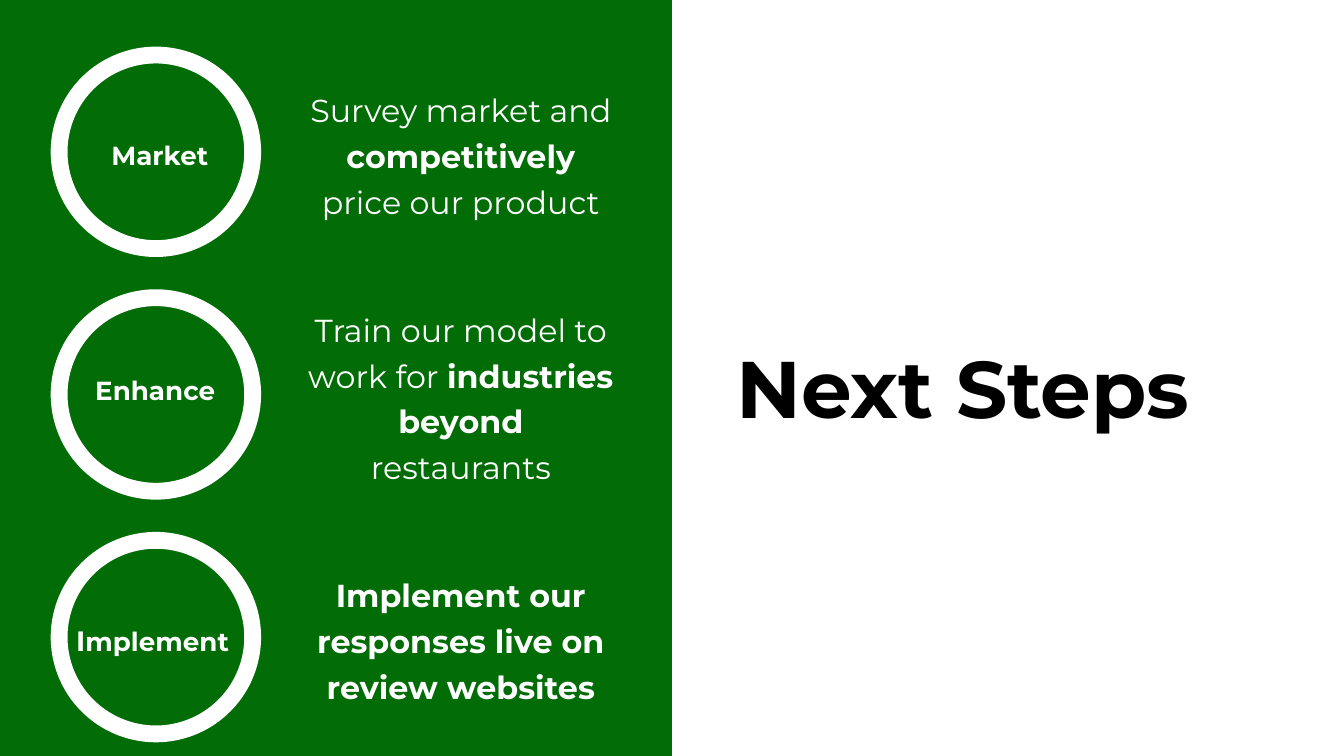
from dataclasses import dataclass

from pptx import Presentation
from pptx.dml.color import RGBColor
from pptx.enum.shapes import MSO_SHAPE
from pptx.enum.text import MSO_ANCHOR, MSO_AUTO_SIZE, PP_ALIGN
from pptx.util import Pt


@dataclass(frozen=True)
class Theme:
    font: str = "Montserrat"
    green: RGBColor = RGBColor(0x02, 0x6C, 0x06)
    white: RGBColor = RGBColor(0xFF, 0xFF, 0xFF)
    black: RGBColor = RGBColor(0, 0, 0)
    title_size: int = 43
    action_size: int = 17
    label_size: int = 14
    initial_size: int = 15


THEME = Theme()
SLIDE_WIDTH, SLIDE_HEIGHT = 720, 405
RING_LEFT, RING_TOP, RING_SIZE, RING_PITCH = 31.7, 29.5, 103.7, 130
ACTION_LEFT, ACTION_WIDTH = 156.2, 181.4
LABEL_HEIGHT = 37.4

STEPS = [
    {
        "label": [("Market", True)],
        "label_box": (33.8, 62.6, 103.7, LABEL_HEIGHT),
        "action": [("Survey market and ", False), ("competitively ", True),
                   ("price our product", False)],
        "action_box": (ACTION_LEFT, 18.7, ACTION_WIDTH, 125.3),
    },
    {
        "label": [("Enhance", True)],
        "label_box": (22.3, 188.6, 121.7, LABEL_HEIGHT),
        "action": [("Train our model to work for ", False),
                   ("industries beyond ", True), ("restaurants", False)],
        "action_box": (ACTION_LEFT, 160.6, ACTION_WIDTH, 101.5),
    },
    {
        "label": [("I", True, THEME.initial_size), ("mplement", True)],
        "label_box": (33.8, 322.6, 103.7, LABEL_HEIGHT),
        "label_align": PP_ALIGN.LEFT,
        "action": [("Implement our responses live on review websites", True)],
        "action_box": (ACTION_LEFT, 278.6, ACTION_WIDTH, 125.3),
    },
]


def write_text(frame, runs, *, size, color=THEME.white, align=PP_ALIGN.CENTER,
               anchor=MSO_ANCHOR.MIDDLE, line_spacing=1.2):
    frame.word_wrap = True
    frame.auto_size = MSO_AUTO_SIZE.NONE
    frame.vertical_anchor = anchor
    frame.margin_left = frame.margin_right = Pt(7.2)
    frame.margin_top = frame.margin_bottom = Pt(7.2)
    paragraph = frame.paragraphs[0]
    paragraph.alignment = align
    paragraph.line_spacing = line_spacing
    paragraph.space_before = Pt(0)
    for words, bold, *own_size in runs:
        run = paragraph.add_run()
        run.text = words
        run.font.name = THEME.font
        run.font.size = Pt(own_size[0] if own_size else size)
        run.font.bold = bold
        run.font.color.rgb = color


def add_title(slide):
    title = slide.shapes.title
    title.left, title.top, title.width, title.height = map(
        Pt, (378, 174.2, 275.8, 45.4))
    write_text(title.text_frame, [("Next Steps", True)], size=THEME.title_size,
               color=THEME.black, anchor=MSO_ANCHOR.TOP, line_spacing=1.0)


def add_panel(slide):
    panel = slide.shapes.add_shape(
        MSO_SHAPE.RECTANGLE, 0, 0, Pt(SLIDE_WIDTH / 2), Pt(SLIDE_HEIGHT))
    panel.shadow.inherit = False
    panel.fill.solid()
    panel.fill.fore_color.rgb = THEME.green
    panel.line.fill.background()


def add_ring(slide, top):
    ring = slide.shapes.add_shape(
        MSO_SHAPE.OVAL, Pt(RING_LEFT), Pt(top), Pt(RING_SIZE), Pt(RING_SIZE))
    ring.shadow.inherit = False
    ring.fill.background()
    ring.line.color.rgb = THEME.white
    ring.line.width = Pt(9)


def add_caption(slide, box, runs, **text_format):
    caption = slide.shapes.add_textbox(*map(Pt, box))
    write_text(caption.text_frame, runs, **text_format)


def add_step(slide, index, step):
    add_caption(slide, step["action_box"], step["action"], size=THEME.action_size)
    add_ring(slide, RING_TOP + index * RING_PITCH)
    add_caption(slide, step["label_box"], step["label"], size=THEME.label_size,
                align=step.get("label_align", PP_ALIGN.CENTER))


def main():
    presentation = Presentation()
    presentation.slide_width = Pt(SLIDE_WIDTH)
    presentation.slide_height = Pt(SLIDE_HEIGHT)
    slide = presentation.slides.add_slide(presentation.slide_layouts[0])
    subtitle = slide.placeholders[1].element
    subtitle.getparent().remove(subtitle)
    add_title(slide)
    add_panel(slide)
    for index, step in enumerate(STEPS):
        add_step(slide, index, step)
    presentation.save("out.pptx")


if __name__ == "__main__":
    main()
